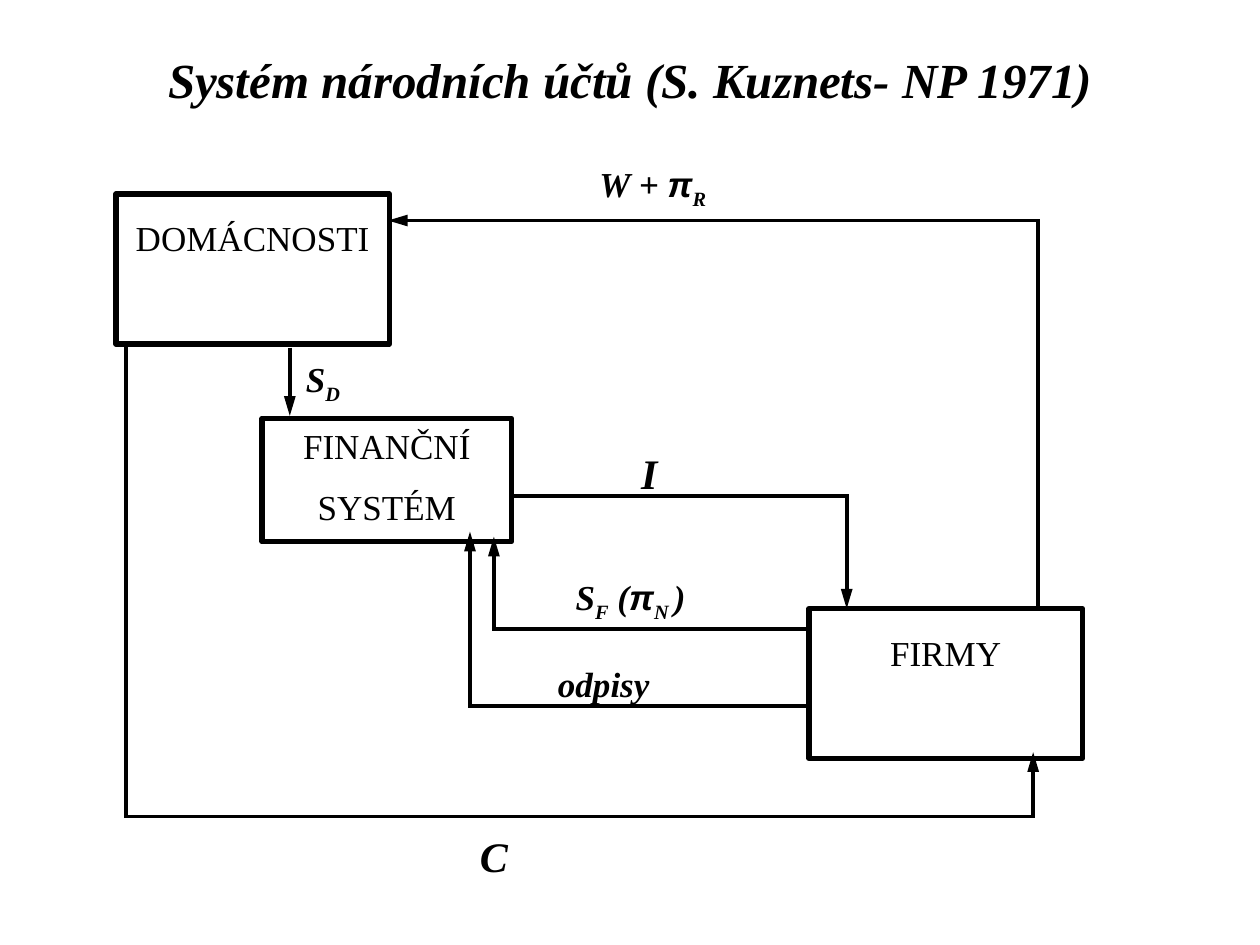
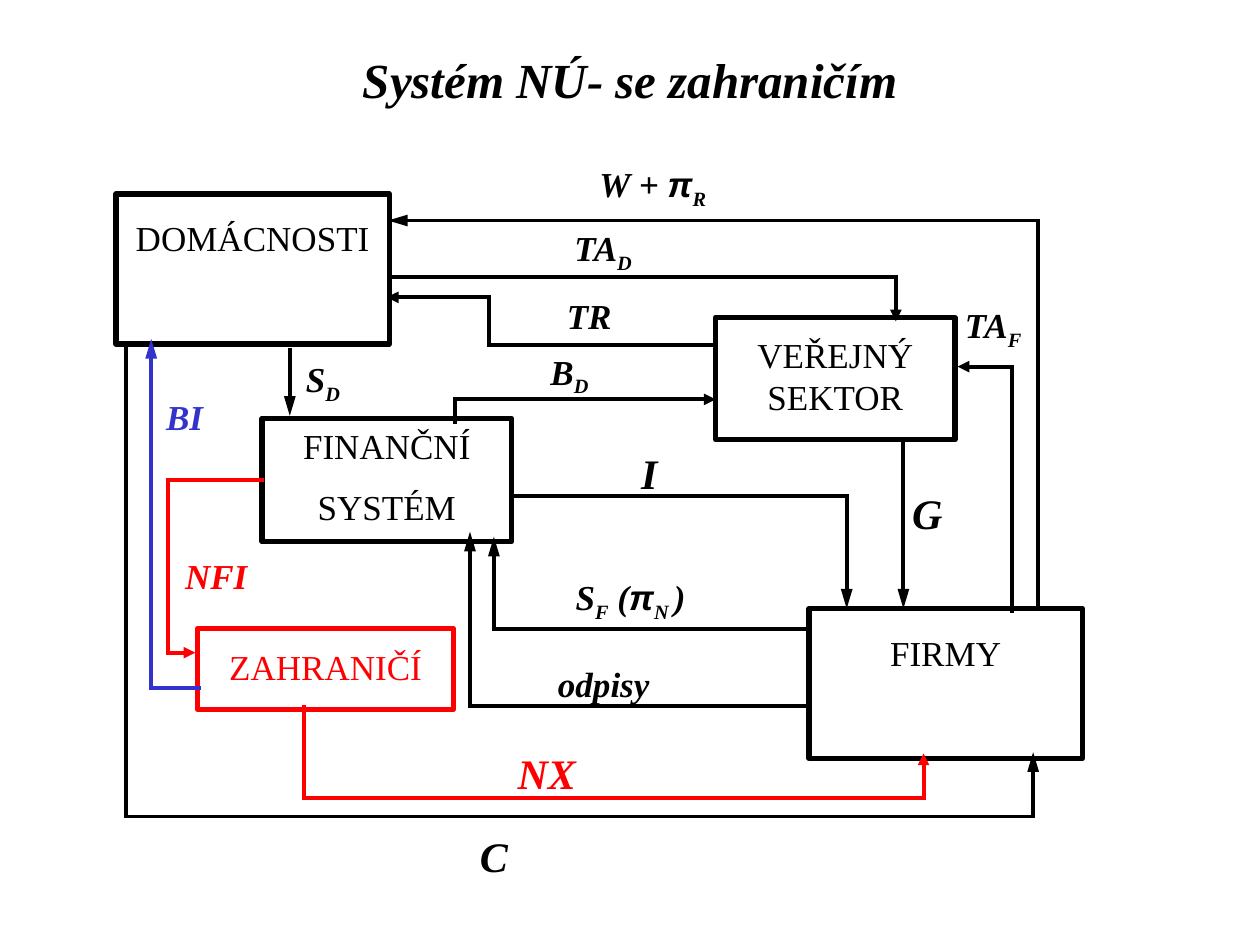
from lxml import etree
from pptx import Presentation
from pptx.dml.color import RGBColor
from pptx.enum.shapes import MSO_CONNECTOR, MSO_SHAPE
from pptx.enum.text import MSO_ANCHOR, PP_ALIGN
from pptx.oxml.ns import qn
from pptx.util import Inches, Pt

STRAIGHT = MSO_CONNECTOR.STRAIGHT
RECTANGLE = MSO_SHAPE.RECTANGLE
TOP, MIDDLE = MSO_ANCHOR.TOP, MSO_ANCHOR.MIDDLE
CENTER = PP_ALIGN.CENTER
LEFT_SIDE = 1

BLACK, RED, BLUE = "000000", "FF0000", "3333CC"
SERIF, GREEK = "Times New Roman", "Arial"


def rgb(hex_code):
    return RGBColor.from_string(hex_code)


def style(paragraph, size, color, emphasis):
    font = paragraph.font
    font.name, font.size = SERIF, Pt(size)
    font.bold = font.italic = emphasis
    font.color.rgb = rgb(color)


base_sectors = [
    (["DOMÁCNOSTI"], 0.92, 1.54, 2.17, 1.19, 0.18, BLACK),
    (["FIRMY"], 6.42, 4.83, 2.17, 1.19, 0.18, BLACK),
    (["FINANČNÍ", "SYSTÉM"], 2.08, 3.32, 1.98, 0.98, 0.05, BLACK),
]
foreign_sectors = [
    (["VEŘEJNÝ SEKTOR"], 5.68, 2.52, 1.9, 0.97, 0.13, BLACK),
    (["ZAHRANIČÍ"], 1.57, 4.99, 2.03, 0.64, 0.13, RED),
]

base_flows = [
    ([(8.24, 4.83), (8.24, 1.75), (3.08, 1.75)], BLACK, "lg"),
    ([(1, 2.72), (1, 6.48), (8.2, 6.48), (8.2, 5.97)], BLACK, "lg"),
    ([(2.3, 2.76), (2.3, 3.3)], BLACK, "lg"),
    ([(4.08, 3.94), (6.72, 3.94), (6.72, 4.83)], BLACK, "lg"),
    ([(6.43, 5.6), (3.73, 5.6), (3.73, 4.22)], BLACK, "lg"),
    ([(6.39, 4.99), (3.92, 4.99), (3.92, 4.26)], BLACK, "lg"),
]
foreign_flows = [
    ([(1.58, 5.46), (1.2, 5.46), (1.2, 2.69)], BLUE, "lg"),
    ([(2.08, 3.81), (1.33, 3.81), (1.33, 5.18), (1.55, 5.18)], RED, "med"),
    ([(2.41, 5.61), (2.41, 6.33), (7.33, 6.33), (7.33, 5.98)], RED, "med"),
    ([(7.17, 3.47), (7.17, 4.83)], BLACK, "lg"),
    ([(8.03, 4.85), (8.03, 2.91), (7.6, 2.91)], BLACK, "med"),
    ([(3.09, 2.2), (7.11, 2.2), (7.11, 2.55)], BLACK, "med"),
    ([(3.61, 3.35), (3.61, 3.17), (5.68, 3.17)], BLACK, "med"),
    ([(5.68, 2.74), (3.88, 2.74), (3.88, 2.36), (3.07, 2.36)], BLACK, "med"),
]

base_labels = [
    (["W + ", "π", "_R"], 4.66, 1.24, 1.4, 20, BLACK),
    (["C"], 3.71, 6.54, 0.47, 24, BLACK),
    (["S", "_D"], 2.33, 2.79, 0.6, 20, BLACK),
    (["I"], 4.99, 3.5, 0.47, 24, BLACK),
    (["S", "_F", " (", "π", "_N ", ")"], 4.47, 4.52, 1.4, 20, BLACK),
    (["odpisy"], 4.33, 5.21, 1.72, 20, BLACK),
]
foreign_labels = [
    (["NX"], 4.01, 5.88, 0.7, 24, RED),
    (["NFI"], 1.37, 4.35, 0.79, 20, RED),
    (["G"], 7.14, 3.82, 0.47, 24, BLACK),
    (["TR"], 4.4, 2.29, 0.74, 20, BLACK),
    (["TA", "_D"], 4.46, 1.75, 0.72, 20, BLACK),
    (["TA", "_F"], 7.56, 2.36, 0.72, 20, BLACK),
    (["B", "_D"], 4.27, 2.73, 0.6, 20, BLACK),
    (["BI"], 1.22, 3.09, 0.7, 20, BLUE),
]

diagrams = [
    ("Systém národních účtů (S. Kuznets- NP 1971)",
     base_sectors, base_flows, base_labels),
    ("Systém NÚ- se zahraničím",
     base_sectors + foreign_sectors,
     base_flows + foreign_flows,
     base_labels + foreign_labels),
]

prs = Presentation()
prs.slide_width, prs.slide_height = Inches(10), Inches(7.5)

for heading, sectors, flows, labels in diagrams:
    slide = prs.slides.add_slide(prs.slide_layouts[5])
    title = slide.shapes.title
    title.left, title.top = Inches(0.75), Inches(0)
    title.width, title.height = Inches(8.5), Inches(1.25)
    title.text_frame.text = heading
    title.text_frame.vertical_anchor = MIDDLE
    title.text_frame.paragraphs[0].alignment = CENTER
    style(title.text_frame.paragraphs[0], 28, BLACK, True)

    sector_boxes = {}
    for lines, left, top, width, height, inset, color in sectors:
        sector = slide.shapes.add_shape(
            RECTANGLE, Inches(left), Inches(top), Inches(width), Inches(height))
        sector.shadow.inherit = False
        sector.fill.background()
        sector.line.color.rgb = rgb(color)
        sector.line.width = Pt(3)
        frame = sector.text_frame
        frame.word_wrap = True
        frame.vertical_anchor = TOP
        frame.margin_top = frame.margin_bottom = Inches(inset)
        frame.text = "\n".join(lines)
        for index, paragraph in enumerate(frame.paragraphs):
            paragraph.alignment = CENTER
            paragraph.space_before = Pt(11 if index else 0)
            style(paragraph, 20, color, False)
        sector_boxes[lines[0]] = sector

    for points, color, head_length in flows:
        for start, end in zip(points, points[1:]):
            segment = slide.shapes.add_connector(
                STRAIGHT, *[Inches(value) for value in start + end])
            segment.line.color.rgb = rgb(color)
            segment.line.width = Pt(2.25)
            properties = segment.line._get_or_add_ln()
            if end == points[-1]:
                etree.SubElement(properties, qn("a:tailEnd"),
                                 type="triangle", w="med", len=head_length)
            else:
                properties.set("cap", "sq")
            etree.SubElement(segment._element.spPr, qn("a:effectLst"))
            if start == (2.08, 3.81):
                segment.begin_connect(sector_boxes["FINANČNÍ"], LEFT_SIDE)

    for parts, left, top, width, size, color in labels:
        label = slide.shapes.add_textbox(
            Inches(left), Inches(top), Inches(width),
            Inches(0.5 if size == 24 else 0.43))
        label.text_frame.word_wrap = True
        paragraph = label.text_frame.paragraphs[0]
        style(paragraph, size, color, True)
        for part in parts:
            run = paragraph.add_run()
            run.text = part.lstrip("_")
            if part.startswith("_"):
                run.font._element.set("baseline", "-25000")
            if part == "π":
                run.font.name = GREEK

prs.save("out.pptx")
